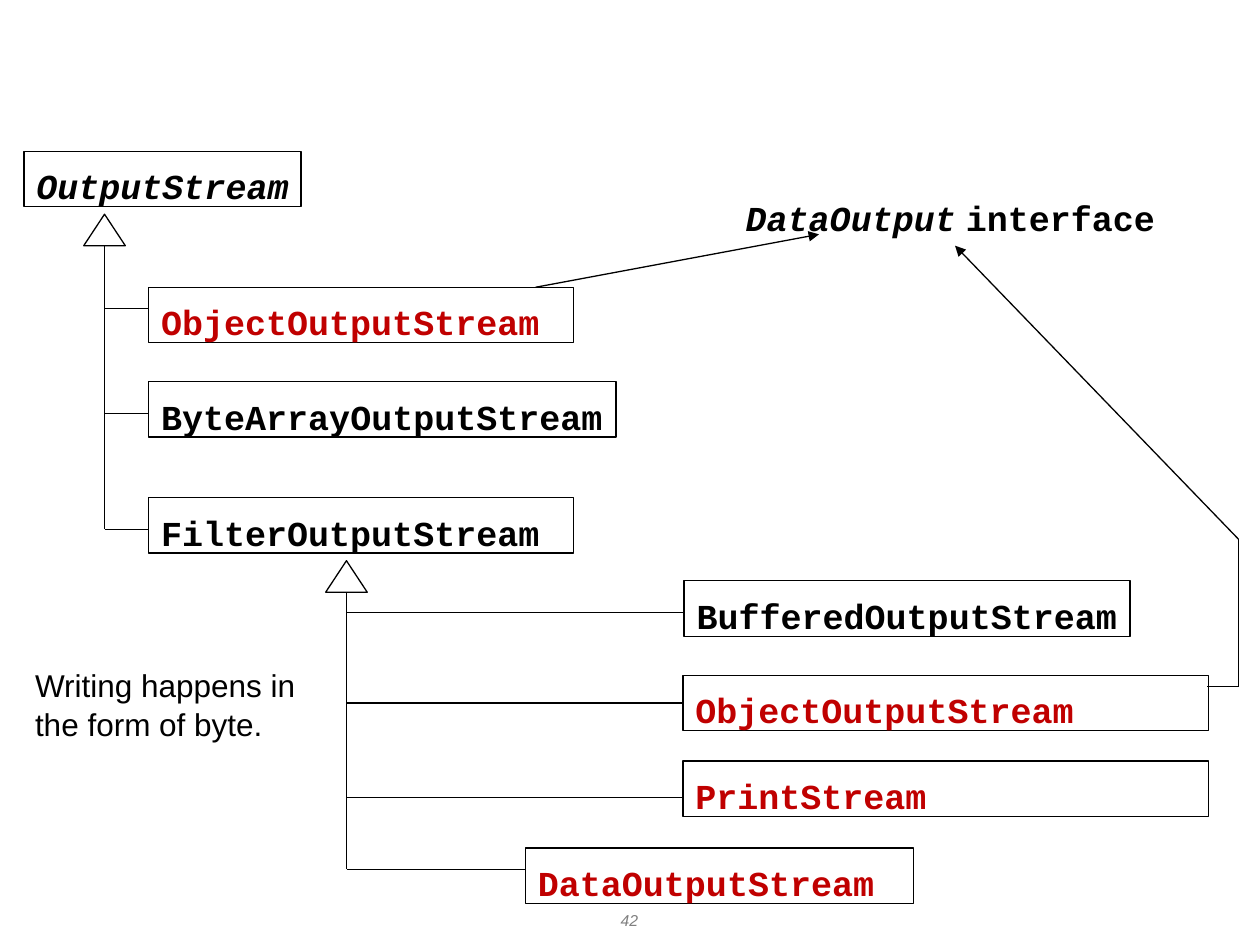
from dataclasses import dataclass

from lxml import etree
from pptx import Presentation
from pptx import util as u
from pptx.dml.color import RGBColor
from pptx.enum import shapes, text
from pptx.oxml import ns


@dataclass(frozen=True)
class Theme:
    ink: RGBColor = RGBColor(0x00, 0x00, 0x00)
    accent: RGBColor = RGBColor(0xC0, 0x00, 0x00)
    muted: RGBColor = RGBColor(0x80, 0x80, 0x80)
    code_font: str = "Courier New"
    body_font: str = "Arial"
    code_size: int = 20
    body_size: int = 18
    footer_size: int = 9
    line_width: float = 0.75
    line_spacing: float = 1.05


THEME = Theme()
CLASS_HEIGHT = 0.44
HEAD_WIDTH, HEAD_HEIGHT = 0.33, 0.25


def add_span(para, words, font, size, color, bold=False, italic=False):
    span = para.add_run()
    span.text = words
    span.font.name = font
    span.font.size = u.Pt(size)
    span.font.color.rgb = color
    span.font.bold = bold
    span.font.italic = italic


def prepare_text(box, top_inset=0.05, align=text.PP_ALIGN.LEFT):
    """Set the frame up and return its first paragraph."""
    frame = box.text_frame
    frame.word_wrap = True
    frame.vertical_anchor = text.MSO_ANCHOR.TOP
    frame.margin_left = u.Inches(0.1)
    frame.margin_right = 0
    frame.margin_top = u.Inches(top_inset)
    frame.margin_bottom = 0
    para = frame.paragraphs[0]
    para.alignment = align
    para.line_spacing = THEME.line_spacing
    return para


def add_outline(page, preset, left, top, width, height):
    box = page.shapes.add_shape(preset, *map(u.Inches, (left, top, width, height)))
    box.shadow.inherit = False
    box.fill.background()
    box.line.color.rgb = THEME.ink
    box.line.width = u.Pt(THEME.line_width)
    return box


def add_line(page, start, end, arrow=False):
    line = page.shapes.add_connector(
        shapes.MSO_CONNECTOR.STRAIGHT, *map(u.Inches, (*start, *end)))
    line.line.color.rgb = THEME.ink
    line.line.width = u.Pt(THEME.line_width)
    if arrow:
        etree.SubElement(line.line._get_or_add_ln(), ns.qn("a:tailEnd"), type="triangle")
    etree.SubElement(line._element.spPr, ns.qn("a:effectLst"))
    return line


def add_class(page, name, left, top, width, color=THEME.ink, italic=False):
    box = add_outline(page, shapes.MSO_SHAPE.RECTANGLE, left, top, width, CLASS_HEIGHT)
    add_span(prepare_text(box, 0.09), name, THEME.code_font, THEME.code_size,
             color, bold=True, italic=italic)
    return box


def add_subclasses(page, apex_x, apex_y, children):
    """Inheritance arrowhead, trunk, and a branch to each child class."""
    add_outline(page, shapes.MSO_SHAPE.ISOSCELES_TRIANGLE, apex_x - HEAD_WIDTH / 2,
                apex_y, HEAD_WIDTH, HEAD_HEIGHT)
    trunk_end = max(branch_y for *_, branch_y in children)
    add_line(page, (apex_x, apex_y + HEAD_HEIGHT), (apex_x, trunk_end))
    for name, left, top, width, color, branch_y in children:
        box = add_class(page, name, left, top, width, color)
        branch = add_line(page, (apex_x, branch_y), (left, branch_y))
        if abs(branch_y - top - CLASS_HEIGHT / 2) < 0.005:
            branch.end_connect(box, 1)


def add_interface(page, left, top, width, height):
    """Interface label and the arrows of the classes implementing it."""
    label = page.shapes.add_textbox(*map(u.Inches, (left, top, width, height)))
    para = prepare_text(label, 0.09)
    for words, font, italic in (("DataOutput", THEME.code_font, True),
                                (" ", THEME.body_font, True),
                                ("interface", THEME.code_font, False)):
        add_span(para, words, font, THEME.code_size, THEME.ink, True, italic)
    add_line(page, (4.25, 2.28), (6.5, 1.86), arrow=True)
    corners = [(9.58, 5.45), (9.83, 5.45), (9.83, 4.28), (7.58, 1.95)]
    for start, end in zip(corners, corners[1:]):
        add_line(page, start, end, arrow=end == corners[-1])


def add_note(page, left, top, width, height):
    box = page.shapes.add_textbox(*map(u.Inches, (left, top, width, height)))
    add_span(prepare_text(box), "Writing happens in the form of byte.",
             THEME.body_font, THEME.body_size, THEME.ink)


def add_page_number(page, left, top, width, height):
    box = page.shapes.add_textbox(*map(u.Inches, (left, top, width, height)))
    para = prepare_text(box, align=text.PP_ALIGN.CENTER)
    box.text_frame.margin_right = u.Inches(0.1)
    add_span(para, "42", THEME.body_font, THEME.footer_size, THEME.muted, italic=True)


def main():
    deck = Presentation()
    deck.slide_width, deck.slide_height = u.Inches(10), u.Inches(7.5)
    page = deck.slides.add_slide(deck.slide_layouts[6])

    # Class hierarchy: name, left, top, width, colour, branch height
    add_class(page, "OutputStream", 0.19, 1.2, 2.2, italic=True)
    add_subclasses(page, 0.83, 1.7, [
        ("ObjectOutputStream", 1.18, 2.28, 3.37, THEME.accent, 2.45),
        ("ByteArrayOutputStream", 1.18, 3.03, 3.71, THEME.ink, 3.28),
        ("FilterOutputStream", 1.18, 3.95, 3.37, THEME.ink, 4.2),
    ])
    add_subclasses(page, 2.75, 4.45, [
        ("BufferedOutputStream", 5.43, 4.61, 3.54, THEME.ink, 4.86),
        ("ObjectOutputStream", 5.42, 5.36, 4.17, THEME.accent, 5.58),
        ("PrintStream", 5.42, 6.04, 4.17, THEME.accent, 6.33),
        ("DataOutputStream", 4.17, 6.73, 3.08, THEME.accent, 6.9),
    ])

    # Interface, remark and footer
    add_interface(page, 5.82, 1.45, 3.44, CLASS_HEIGHT)
    add_note(page, 0.18, 5.22, 2.33, 0.7)
    add_page_number(page, 3.83, 7.17, 2.33, 0.26)
    deck.save("out.pptx")


if __name__ == "__main__":
    main()
